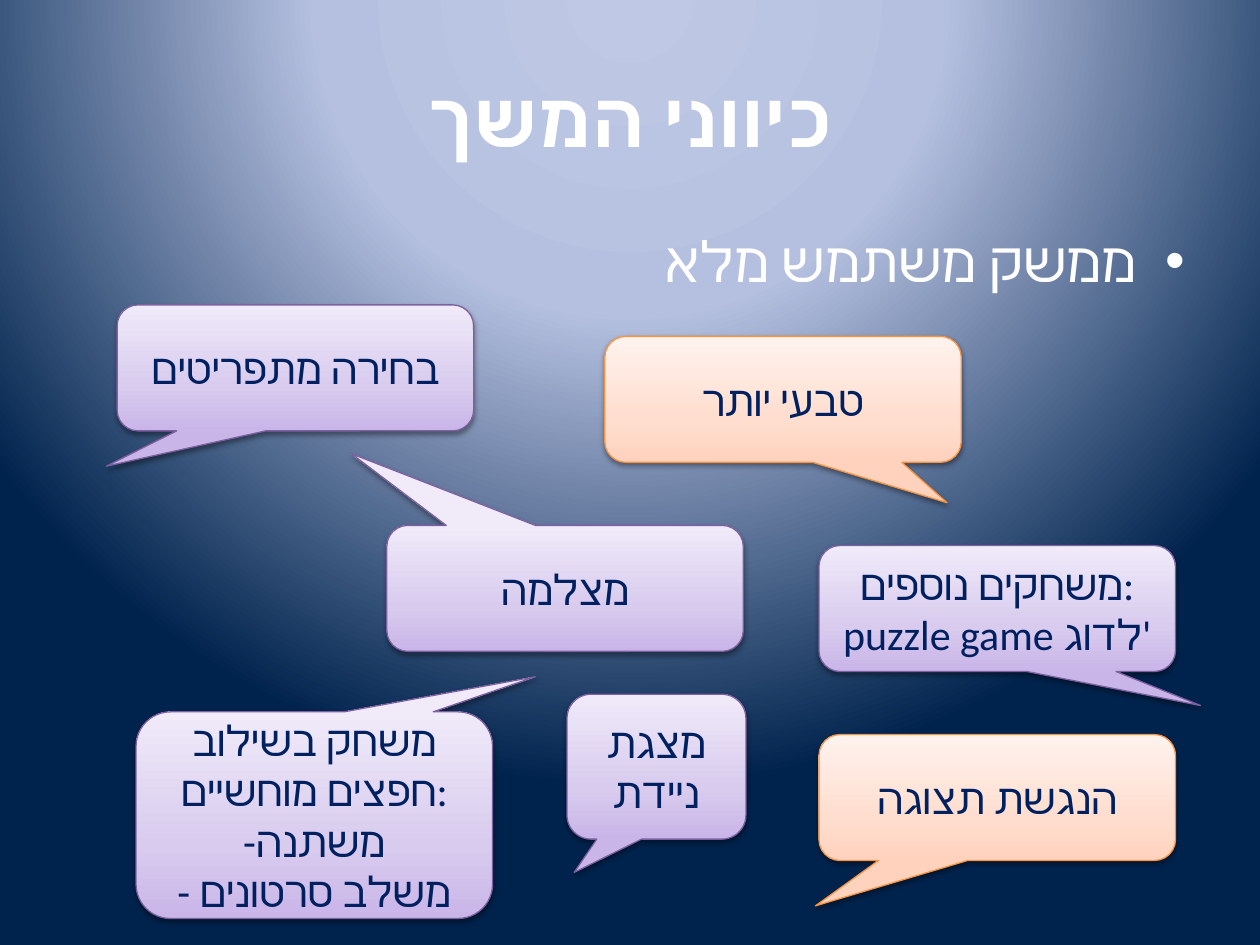
from dataclasses import dataclass

from lxml.etree import SubElement
from pptx import Presentation
from pptx.dml.color import RGBColor
from pptx.enum.shapes import MSO_SHAPE
from pptx.enum.text import MSO_ANCHOR, PP_ALIGN
from pptx.oxml.ns import qn
from pptx.util import Emu, Pt

EMU_PER_PX = 9144  # 100 px to the inch


@dataclass(frozen=True)
class Palette:
    line: str
    stops: tuple[tuple[int, str], ...]


@dataclass(frozen=True)
class Theme:
    background = ((0, "BFC9E5"), (40, "B5C0E0"), (100, "00234D"))
    purple = Palette("7D60A0", ((0, "C9B5E8"), (35, "D8CBEE"), (100, "F0EAF9")))
    orange = Palette("F69240", ((0, "FFD2BD"), (35, "FFDED0"), (100, "FFF2ED")))
    light = "FFFFFF"
    navy = "002060"
    title_font = "Karla"
    body_font = "Calibri"
    title_size = 44
    body_size = 32
    callout_size = 24


THEME = Theme()


@dataclass(frozen=True)
class Callout:
    left: int
    top: int
    tip: tuple[float, float]  # offset from the centre, as a share of the size
    lines: tuple[str, ...]
    palette: Palette = THEME.purple
    width: int = 283
    height: int = 100


CALLOUTS = (
    Callout(93, 242, (-0.53, 0.78), ("בחירה מתפריטים",)),
    Callout(650, 583, (-0.51, 0.86), ("הנגשת תצוגה",), THEME.orange),
    Callout(650, 433, (0.57, 0.77), ("משחקים נוספים:", "puzzle game לדוג'")),
    Callout(480, 267, (0.46, 0.82), ("טבעי יותר",), THEME.orange),
    Callout(307, 417, (-0.6, -1.07), ("מצלמה",)),
    Callout(108, 565, (0.62, -0.67),
            ("משחק בשילוב חפצים מוחשיים:", "-משתנה", "- משלב סרטונים"), height=164),
    Callout(450, 551, (-0.46, 0.73), ("מצגת ניידת",), width=142, height=115),
)


def px(length: int) -> Emu:
    return Emu(length * EMU_PER_PX)


def box(left: int, top: int, width: int, height: int) -> tuple[Emu, ...]:
    return px(left), px(top), px(width), px(height)


def style_paragraph(paragraph, font_name: str, size: int, color: str,
                    align: PP_ALIGN, bold: bool = False) -> None:
    paragraph.alignment = align
    font = paragraph.font
    font.name, font.size, font.bold = font_name, Pt(size), bold
    font.color.rgb = RGBColor.from_string(color)
    # Hebrew letters take the complex-script font
    defaults = paragraph._p.pPr.find(qn("a:defRPr"))
    SubElement(defaults, qn("a:cs"), typeface=font_name)


def set_gradient(fill, owner, stops: tuple[tuple[int, str], ...]):
    """Give the owner's fill these stops and return its gradient element."""
    fill.gradient()
    gradient = next(owner.iter(qn("a:gradFill")))
    gradient.clear()
    gradient.set("rotWithShape", "1")
    stop_list = SubElement(gradient, qn("a:gsLst"))
    for percent, color in stops:
        stop = SubElement(stop_list, qn("a:gs"), pos=str(percent * 1000))
        SubElement(stop, qn("a:srgbClr"), val=color)
    return gradient


def add_shadow(shape) -> None:
    shape.shadow.inherit = False
    effects = shape._element.spPr.find(qn("a:effectLst"))
    shadow = SubElement(effects, qn("a:outerShdw"), blurRad="40000", dist="20000",
                        dir="5400000", rotWithShape="0")
    color = SubElement(shadow, qn("a:srgbClr"), val="000000")
    SubElement(color, qn("a:alpha"), val="38000")


def paint_background(slide) -> None:
    gradient = set_gradient(slide.background.fill, slide._element, THEME.background)
    circle = SubElement(gradient, qn("a:path"), path="circle")
    SubElement(circle, qn("a:fillToRect"), l="50000", t="-80000", r="50000", b="180000")


def add_title(slide, text: str) -> None:
    title = slide.shapes.title
    title.left, title.top, title.width, title.height = box(50, 30, 900, 125)
    frame = title.text_frame
    frame.text = text
    frame.vertical_anchor = MSO_ANCHOR.MIDDLE
    style_paragraph(frame.paragraphs[0], THEME.title_font, THEME.title_size,
                    THEME.light, PP_ALIGN.CENTER, bold=True)


def add_bullet(slide, text: str) -> None:
    frame = slide.shapes.add_textbox(*box(50, 175, 900, 495)).text_frame
    frame.word_wrap = True
    frame.text = text
    paragraph = frame.paragraphs[0]
    properties = paragraph._p.get_or_add_pPr()
    indent = px(38)
    properties.set("marL", str(indent))
    properties.set("indent", str(-indent))
    properties.set("rtl", "1")
    SubElement(properties, qn("a:buFont"), typeface="Arial")
    SubElement(properties, qn("a:buChar"), char="•")
    style_paragraph(paragraph, THEME.body_font, THEME.body_size, THEME.light,
                    PP_ALIGN.RIGHT)


def add_callout(slide, callout: Callout) -> None:
    bubble = slide.shapes.add_shape(
        MSO_SHAPE.ROUNDED_RECTANGULAR_CALLOUT,
        *box(callout.left, callout.top, callout.width, callout.height))
    bubble.adjustments[0], bubble.adjustments[1] = callout.tip
    gradient = set_gradient(bubble.fill, bubble._element, callout.palette.stops)
    SubElement(gradient, qn("a:lin"), ang="16200000", scaled="1")
    bubble.line.color.rgb = RGBColor.from_string(callout.palette.line)
    bubble.line.width = Pt(0.75)
    add_shadow(bubble)

    frame = bubble.text_frame
    frame.text = "\n".join(callout.lines)
    frame.vertical_anchor = MSO_ANCHOR.MIDDLE
    for paragraph in frame.paragraphs:
        style_paragraph(paragraph, THEME.body_font, THEME.callout_size, THEME.navy,
                        PP_ALIGN.CENTER)


def main() -> None:
    deck = Presentation()
    deck.slide_width, deck.slide_height = px(1000), px(750)
    slide = deck.slides.add_slide(deck.slide_layouts[5])  # title only

    paint_background(slide)
    add_title(slide, "כיווני המשך")
    add_bullet(slide, "ממשק משתמש מלא")
    for callout in CALLOUTS:
        add_callout(slide, callout)

    deck.save("out.pptx")


if __name__ == "__main__":
    main()
